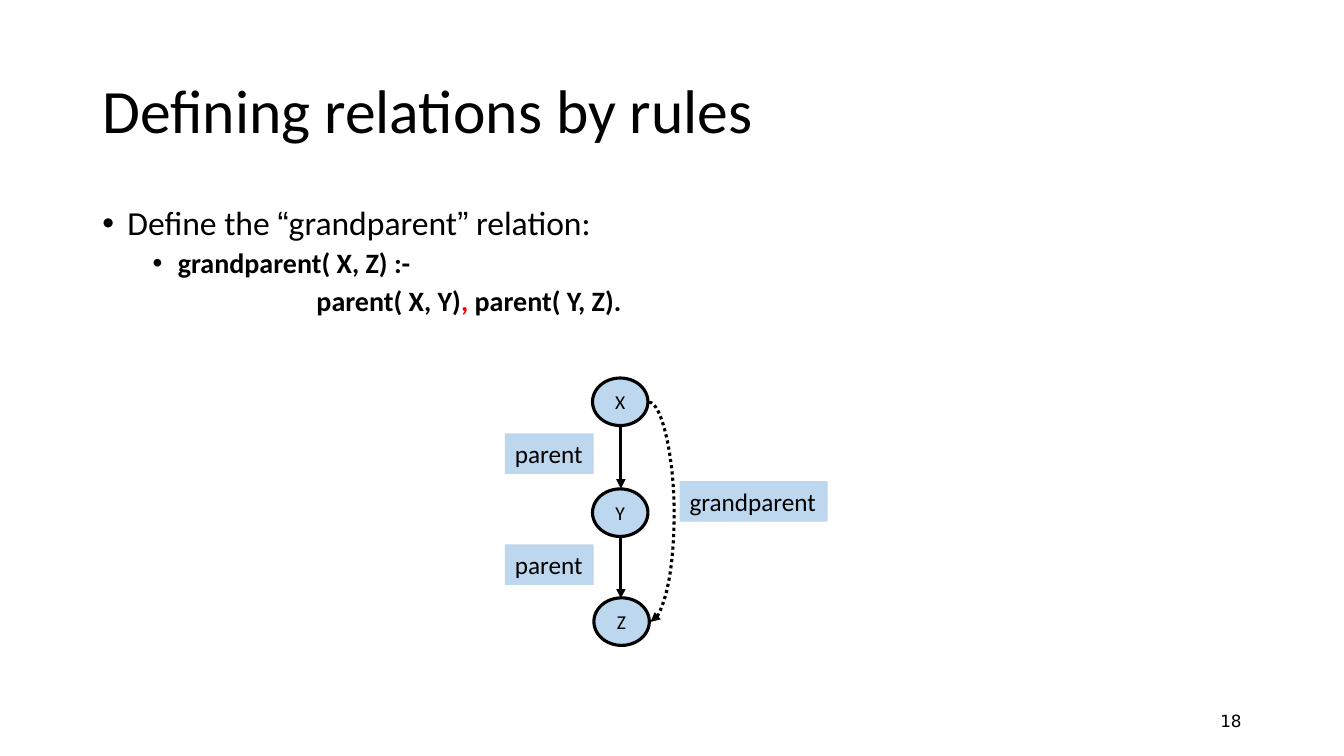
from dataclasses import dataclass

from lxml.etree import SubElement
from pptx import Presentation
from pptx.dml.color import RGBColor
from pptx.enum.dml import MSO_LINE
from pptx.enum.shapes import MSO_CONNECTOR, MSO_SHAPE
from pptx.enum.text import MSO_ANCHOR, MSO_AUTO_SIZE, PP_ALIGN
from pptx.oxml.ns import qn
from pptx.util import Pt


@dataclass(frozen=True)
class Theme:
    """Colours, fonts and sizes in points."""
    ink: str = "000000"
    mark: str = "FF0000"
    pale: str = "BDD7EE"
    font: str = "Calibri"
    quote: str = "Arial"
    count: str = "DejaVu Sans"
    title: int = 44
    body: int = 24
    code: int = 20
    label: int = 18
    node: int = 14
    foot: int = 12
    line: float = 2.25


def write(para, text, size, color, font, bold=None):
    """Add one formatted run to a paragraph."""
    run = para.add_run()
    run.text = text
    run.font.size = Pt(size)
    run.font.name = font
    run.font.bold = bold
    run.font.color.rgb = RGBColor.from_string(color)


class Board:
    """Draw the elements of one slide in one style."""

    def __init__(self, slide, theme):
        """Keep the slide and its theme."""
        self.slide, self.theme = slide, theme

    def box(self, x, y, w, h, anchor=MSO_ANCHOR.TOP):
        """Add a wrapping text box and return its frame."""
        frame = self.slide.shapes.add_textbox(Pt(x), Pt(y), Pt(w), Pt(h)).text_frame
        frame.word_wrap = True
        frame.vertical_anchor = anchor
        return frame

    def item(self, para, runs, size, left, before, bullet=True, level=0, bold=None):
        """Fill an outline paragraph with (text, color, font) runs."""
        para.level = level
        para.line_spacing = 0.9
        para.space_before = Pt(before)
        props = para._p.get_or_add_pPr()
        props.set("marL", str(Pt(left)))
        props.set("indent", str(Pt(-18 if bullet else 0)))
        if bullet:
            SubElement(props, qn("a:buFont")).set("typeface", self.theme.quote)
            SubElement(props, qn("a:buChar")).set("char", "•")
        for text, color, font in runs:
            write(para, text, size=size, color=color, font=font, bold=bold)

    def shape(self, kind, text, x, y, w, h, size):
        """Add a pale shape with unwrapped text."""
        form = self.slide.shapes.add_shape(kind, Pt(x), Pt(y), Pt(w), Pt(h))
        form.shadow.inherit = False
        form.fill.solid()
        form.fill.fore_color.rgb = RGBColor.from_string(self.theme.pale)
        form.line.fill.background()
        form.text_frame.word_wrap = False
        write(form.text_frame.paragraphs[0], text, size=size,
              color=self.theme.ink, font=self.theme.font)
        return form

    def node(self, text, x, y):
        """Add an outlined circle with a centred name."""
        form = self.shape(MSO_SHAPE.OVAL, text, x, y, 39.6, 34, self.theme.node)
        form.line.color.rgb = RGBColor.from_string(self.theme.ink)
        form.line.width = Pt(self.theme.line)
        form.text_frame.vertical_anchor = MSO_ANCHOR.MIDDLE
        form.text_frame.paragraphs[0].alignment = PP_ALIGN.CENTER

    def label(self, text, x, y, w):
        """Add a relation name that fits its text."""
        frame = self.shape(MSO_SHAPE.RECTANGLE, text, x, y, w, 29, self.theme.label).text_frame
        frame.vertical_anchor = MSO_ANCHOR.TOP
        frame.auto_size = MSO_AUTO_SIZE.SHAPE_TO_FIT_TEXT
        frame.paragraphs[0].alignment = PP_ALIGN.LEFT

    def arrow(self, x1, y1, x2, y2, bulge=None):
        """Add a straight arrow, or a dotted curve with a bulge."""
        kind = MSO_CONNECTOR.CURVE if bulge else MSO_CONNECTOR.STRAIGHT
        link = self.slide.shapes.add_connector(kind, Pt(x1), Pt(y1), Pt(x2), Pt(y2))
        link.line.color.rgb = RGBColor.from_string(self.theme.ink)
        link.line.width = Pt(self.theme.line)
        props = link.element.spPr
        if bulge:
            link.line.dash_style = MSO_LINE.ROUND_DOT
            guide = SubElement(props.find(".//" + qn("a:avLst")), qn("a:gd"))
            guide.set("name", "adj1")
            guide.set("fmla", f"val {round(bulge / (x2 - x1) * 100000)}")
        SubElement(props.find(qn("a:ln")), qn("a:tailEnd")).set("type", "triangle")
        SubElement(props, qn("a:effectLst"))


def main():
    """Build and save the slide."""
    deck = Presentation()
    deck.slide_width, deck.slide_height = Pt(960), Pt(540)
    look = Theme()
    board = Board(deck.slides.add_slide(deck.slide_layouts[6]), look)

    head = board.box(66, 29, 828, 104.4, MSO_ANCHOR.MIDDLE).paragraphs[0]
    head.line_spacing = 0.9
    write(head, "Defining relations by rules", size=look.title, color=look.ink, font=look.font)

    body = board.box(66, 144, 828, 342.7)
    plain, quote = (look.ink, look.font), (look.ink, look.quote)
    board.item(body.paragraphs[0],
               [("Define the ", *plain), ("“", *quote), ("grandparent", *plain),
                ("”", *quote), (" relation:", *plain)],
               look.body, left=18, before=10)
    board.item(body.add_paragraph(), [("grandparent( X, Z) :-", *plain)],
               look.code, left=54, before=5, level=1, bold=True)
    board.item(body.add_paragraph(),
               [("parent( X, Y)", *plain), (",", look.mark, look.font),
                (" parent( Y, Z).", *plain)],
               look.code, left=153, before=5, bullet=False, level=1, bold=True)

    foot = board.box(678, 500.5, 216, 28.8, MSO_ANCHOR.MIDDLE).paragraphs[0]
    foot.alignment = PP_ALIGN.RIGHT
    write(foot, "18", size=look.foot, color=look.ink, font=look.count)

    for y in (304, 382.5):
        board.arrow(443.5, y, 443.5, y + 45)
    for name, x, y in (("X", 423.2, 270), ("Y", 423.2, 349.2), ("Z", 424.2, 427)):
        board.node(name, x, y)
    for y in (309.6, 388.8):
        board.label("parent", 360.7, y, 63.4)
    board.arrow(463.7, 287.3, 464.7, 444.2, bulge=18)
    board.label("grandparent", 485.5, 343.7, 105.8)

    deck.save("out.pptx")


if __name__ == "__main__":
    main()
